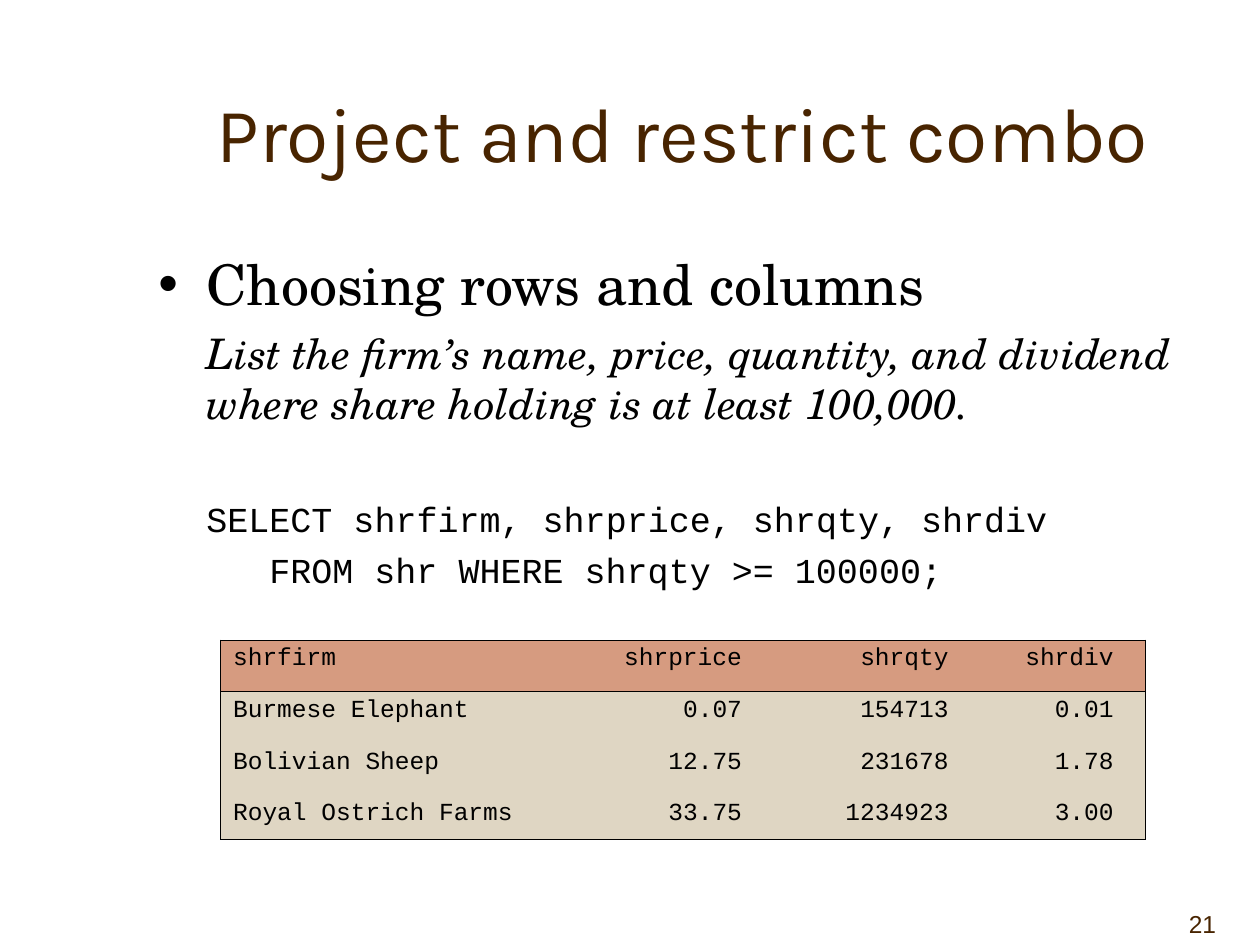
"""Build the slide on combining project and restrict in SQL."""
from typing import Any, NamedTuple

from lxml.etree import SubElement
from pptx import Presentation
from pptx.dml.color import RGBColor
from pptx.enum.text import MSO_ANCHOR as Anchor, PP_ALIGN as Align
from pptx.oxml.ns import qn
from pptx.util import Inches, Pt

INK, BROWN, HEADER_FILL, ROW_FILL = "000000", "482400", "D69B80", "DFD6C3"
SERIF, MONO = "TeX Gyre Schola", "Courier New"


class Line(NamedTuple):
    text: str
    size: float
    font: str
    colour: str = INK
    align: Align = Align.LEFT
    before: float = 0
    spacing: float = 1.0
    margin: float = 0
    italic: bool = False
    bullet: str = ""


class TextArea(NamedTuple):
    left: float
    top: float
    width: float
    height: float
    anchor: Anchor
    lines: list[Line]


class Column(NamedTuple):
    width: float
    align: Align
    right_inset: float


AREAS = [
    TextArea(1.17, 0.42, 8.5, 1.25, Anchor.MIDDLE, [
        Line("Project and restrict combo", 44, "Karla", BROWN, Align.CENTER),
    ]),
    TextArea(1.16, 1.93, 8.5, 2.98, Anchor.TOP, [
        Line("Choosing rows and columns", 32, SERIF, before=8, margin=0.38, bullet="•"),
        Line("List the firm’s name, price, quantity, and dividend where share holding "
             "is at least 100,000.", 24, SERIF, before=6, margin=0.38, italic=True),
        Line("SELECT shrfirm, shrprice, shrqty, shrdiv", 20, MONO, before=40, margin=0.38),
        Line("FROM shr WHERE shrqty >= 100000;", 20, MONO, before=5, margin=0.88),
    ]),
    TextArea(8.5, 7, 1.25, 0.5, Anchor.BOTTOM, [
        Line("21", 14, "Arial", BROWN, Align.RIGHT),
    ]),
]

COLUMNS = [
    Column(2.82, Align.LEFT, 0.1),
    Column(1.57, Align.RIGHT, 0.25),
    Column(1.64, Align.RIGHT, 0.25),
    Column(1.31, Align.RIGHT, 0.25),
]
ROW_HEIGHTS = [0.41, 0.41, 0.41, 0.35]
ROWS = [
    ["shrfirm", "shrprice", "shrqty", "shrdiv"],
    ["Burmese Elephant", "0.07", "154713", "0.01"],
    ["Bolivian Sheep", "12.75", "231678", "1.78"],
    ["Royal Ostrich Farms", "33.75", "1234923", "3.00"],
]


def colour(value: str) -> RGBColor:
    """Turn a hex string into a colour."""
    return RGBColor.from_string(value)


def assign(target: Any, values: dict[str, Any]) -> None:
    """Set each named attribute on the target."""
    for name, value in values.items():
        setattr(target, name, value)


def write_line(para: Any, line: Line) -> None:
    """Fill one paragraph with a formatted line."""
    assign(para, {"alignment": line.align, "space_before": Pt(line.before),
                  "line_spacing": line.spacing})
    span = para.add_run()
    span.text = line.text
    assign(span.font, {"size": Pt(line.size), "name": line.font, "italic": line.italic})
    span.font.color.rgb = colour(line.colour)
    properties = para._p.get_or_add_pPr()
    properties.set("marL", str(Inches(line.margin)))
    if line.bullet:
        properties.set("indent", str(-Inches(line.margin)))
        SubElement(properties, qn("a:buFont"), typeface="Arial")
        SubElement(properties, qn("a:buChar"), char=line.bullet)


def draw_text(page: Any, area: TextArea) -> None:
    """Add a text box holding all lines of an area."""
    box = page.shapes.add_textbox(*map(Inches, area[:4]))
    frame = box.text_frame
    assign(frame, {"word_wrap": True, "vertical_anchor": area.anchor})
    for index, line in enumerate(area.lines):
        para = frame.add_paragraph() if index else frame.paragraphs[0]
        write_line(para, line)


def draw_borders(cell: Any, visible: dict[str, bool]) -> None:
    """Draw the visible cell edges and clear the others."""
    properties = cell._tc.get_or_add_tcPr()
    for edge, shown in visible.items():
        border = SubElement(properties, qn(f"a:{edge}"), w=str(Pt(0.45)))
        if shown:
            fill = SubElement(border, qn("a:solidFill"))
            SubElement(fill, qn("a:srgbClr"), val=INK)
        else:
            SubElement(border, qn("a:noFill"))


def draw_table(page: Any, left: float, top: float) -> None:
    """Add the query result table."""
    width = sum(column.width for column in COLUMNS)
    frame = page.shapes.add_table(len(ROWS), len(COLUMNS), Inches(left), Inches(top),
                                  Inches(width), Inches(sum(ROW_HEIGHTS)))
    table = frame.table
    assign(table, {"first_row": False, "horz_banding": False})
    for index, column in enumerate(COLUMNS):
        table.columns[index].width = Inches(column.width)
    for row, texts in enumerate(ROWS):
        table.rows[row].height = Inches(ROW_HEIGHTS[row])
        for index, (column, text) in enumerate(zip(COLUMNS, texts)):
            cell = table.cell(row, index)
            assign(cell, {"margin_left": Inches(0.1), "margin_top": Inches(0.05),
                          "margin_right": Inches(column.right_inset),
                          "margin_bottom": Inches(0.05)})
            draw_borders(cell, {"lnL": index == 0, "lnR": index == len(COLUMNS) - 1,
                                "lnT": row < 2, "lnB": row in (0, len(ROWS) - 1)})
            cell.fill.solid()
            cell.fill.fore_color.rgb = colour(ROW_FILL if row else HEADER_FILL)
            write_line(cell.text_frame.paragraphs[0],
                       Line(text, 14, MONO, align=column.align, spacing=0.88))


def main() -> None:
    """Build and save the deck."""
    deck = Presentation()
    assign(deck, {"slide_width": Inches(10), "slide_height": Inches(7.5)})
    page = deck.slides.add_slide(deck.slide_layouts[6])
    for area in AREAS:
        draw_text(page, area)
    draw_table(page, 1.75, 5.08)
    deck.save("out.pptx")


if __name__ == "__main__":
    main()
